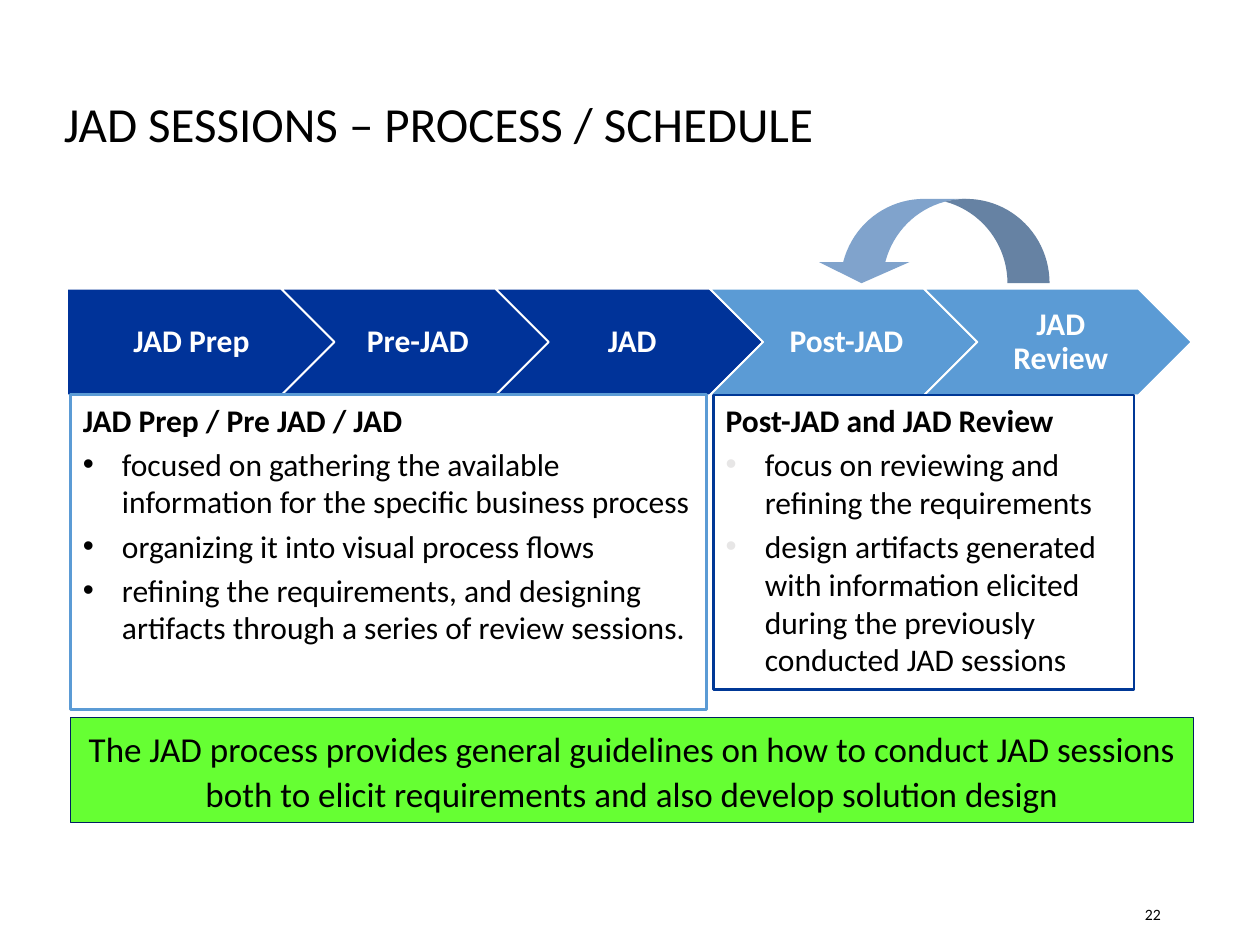
from lxml.etree import SubElement
from pptx import Presentation
from pptx.dml.color import RGBColor
from pptx.enum.shapes import MSO_SHAPE as Shape
from pptx.enum.text import MSO_ANCHOR as Anchor, PP_ALIGN as Align
from pptx.oxml.ns import qn
from pptx.util import Cm, Pt

THEME = {
    "font": "Calibri",
    "black": "000000", "white": "FFFFFF", "navy": "003399", "sky": "5B9BD5",
    "steel": "80A3CC", "panel_navy": "003896", "pale": "E7E6E6",
    "green": "66FF33", "dark": "002060",
    "title": 28, "banner": 20, "body": 18, "number": 9,
}


def add_box(kind, area, fill=None, line=None, width=1, anchor=Anchor.MIDDLE):
    """Add a preset shape at (left, top, width, height) in centimetres."""
    box = page.shapes.add_shape(kind, *map(Cm, area))
    box.shadow.inherit = False
    if fill:
        box.fill.solid()
        box.fill.fore_color.rgb = RGBColor.from_string(THEME[fill])
    else:
        box.fill.background()
    if line:
        box.line.color.rgb = RGBColor.from_string(THEME[line])
        box.line.width = Pt(width)
    else:
        box.line.fill.background()
    box.text_frame.word_wrap = True
    box.text_frame.vertical_anchor = anchor
    return box


def write(para, text, size="body", color="black", bold=False, bullet=None, **layout):
    """Fill a paragraph with one styled span and an optional coloured bullet."""
    for name, value in layout.items():
        setattr(para, name, value)
    span = para.add_run()
    span.text = text
    formats = {"name": THEME["font"], "size": Pt(THEME[size]), "bold": bold}
    for name, value in formats.items():
        setattr(span.font, name, value)
    span.font.color.rgb = RGBColor.from_string(THEME[color])
    if bullet:
        props = para._p.get_or_add_pPr()
        props.set("marL", str(Cm(0.79)))
        props.set("indent", str(-Cm(0.79)))
        tint = SubElement(props, qn("a:buClr"))
        SubElement(tint, qn("a:srgbClr"), val=THEME[bullet])
        SubElement(props, qn("a:buFont"), typeface="Arial")
        SubElement(props, qn("a:buChar"), char="•")


deck = Presentation()
deck.slide_width, deck.slide_height = Cm(25.4), Cm(19.05)
page = deck.slides.add_slide(deck.slide_layouts[6])

# Title and slide number
labels = [
    ("JAD SESSIONS – PROCESS / SCHEDULE", (1.04, 1.73, 22.12, 1.65), "title",
     {"alignment": Align.LEFT, "line_spacing": 0.9}),
    ("22", (17.93, 17.93, 5.72, 1.02), "number", {"alignment": Align.RIGHT}),
]
for text, area, size, layout in labels:
    label = page.shapes.add_textbox(*map(Cm, area))
    label.text_frame.word_wrap = True
    label.text_frame.vertical_anchor = Anchor.MIDDLE
    write(label.text_frame.paragraphs[0], text, size, **layout)

# Process steps
steps = [("JAD Prep", "navy"), ("Pre-JAD", "navy"), ("JAD", "navy"),
         ("Post-JAD", "sky"), ("JAD Review", "sky")]
step_pitch = 4.32
for index, (text, fill) in enumerate(steps):
    kind = Shape.CHEVRON if index else Shape.PENTAGON
    step = add_box(kind, (1.35 + index * step_pitch, 5.82, 5.39, 2.15), fill, "white")
    step.text_frame.margin_left = Cm(0.2 if index else 0.25)
    step.text_frame.margin_right = Cm(0.08)
    write(step.text_frame.paragraphs[0], text, color="white", bold=True,
          alignment=Align.CENTER, line_spacing=0.9)

# Loop back from review to post-JAD
loop_arrow = add_box(Shape.CURVED_DOWN_ARROW, (16.46, 4.01, 4.7, 1.7), "steel")
loop_arrow._element.spPr.find(qn("a:xfrm")).set("flipH", "1")
for index, value in enumerate((0.5, 1.07, 0.25)):
    loop_arrow.adjustments[index] = value

# Detail panels
panels = [
    ((1.42, 7.95, 12.83, 6.35), "sky", "black", "JAD Prep / Pre JAD / JAD", [
        "focused on gathering the available information for the specific business process",
        "organizing it into visual process flows",
        "refining the requirements, and designing artifacts through a series of "
        "review sessions."]),
    ((14.38, 7.96, 8.48, 5.94), "panel_navy", "pale", "Post-JAD and JAD Review", [
        "focus on reviewing and refining the requirements",
        "design artifacts generated with information elicited during the previously "
        "conducted JAD sessions"]),
]
panel_layout = {"alignment": Align.LEFT, "space_before": Pt(3.6)}
for area, line, bullet, heading, points in panels:
    frame = add_box(Shape.RECTANGLE, area, line=line, width=1.5, anchor=Anchor.TOP).text_frame
    write(frame.paragraphs[0], heading, bold=True, **panel_layout)
    for point in points:
        write(frame.add_paragraph(), point, bullet=bullet, **panel_layout)

# Closing banner
banner = add_box(Shape.RECTANGLE, (1.42, 14.46, 22.64, 2.12), "green", "dark", 0.75)
write(banner.text_frame.paragraphs[0],
      "The JAD process provides general guidelines on how to conduct JAD sessions "
      "both to elicit requirements and also develop solution design",
      "banner", alignment=Align.CENTER, line_spacing=1.06)

deck.save("out.pptx")
